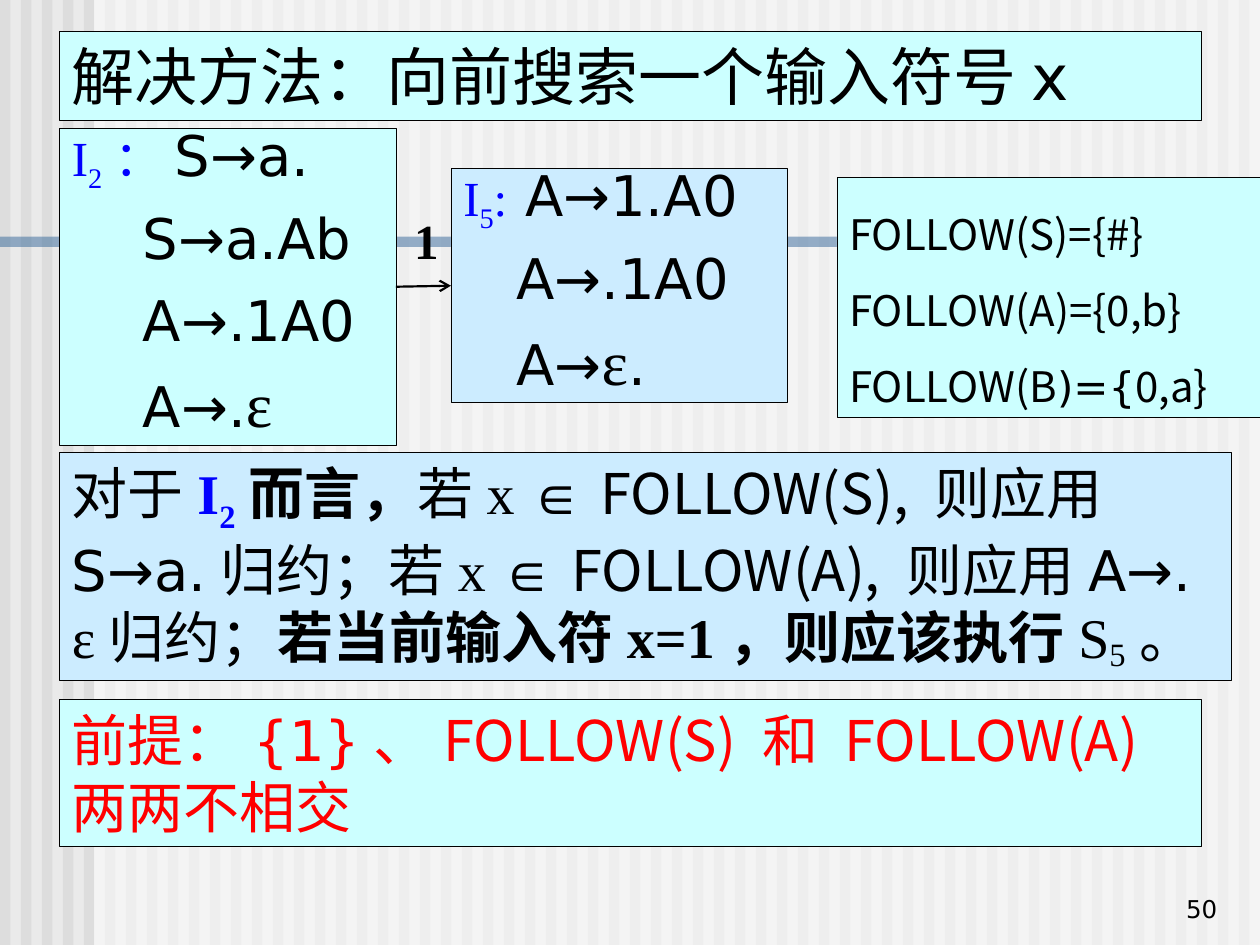
from lxml.etree import SubElement
from pptx import Presentation
from pptx.dml.color import RGBColor
from pptx.enum.shapes import MSO_CONNECTOR as LINE, MSO_SHAPE as SHAPE
from pptx.enum.text import MSO_ANCHOR as ANCHOR, PP_ALIGN as ALIGN
from pptx.oxml.ns import qn
from pptx.util import Cm, Pt

COLOURS = {
    "page": "EAEAEA", "stripe": "DDDDDD", "veil": "FFFFFF", "bar": "336699",
    "mint": "CCFFFF", "sky": "CCECFF", "black": "000000", "blue": "0000FF", "red": "FF0000",
}
SERIF, SANS, CJK, SYMBOL = "Times New Roman", "DejaVu Sans", "Noto Sans CJK JP", "Arial"


def add_block(left, top, width, height, fill, alpha=None, outline=False):
    """Add a plain rectangle, optionally translucent or outlined."""
    block = page.shapes.add_shape(SHAPE.RECTANGLE, Cm(left), Cm(top), Cm(width), Cm(height))
    block.shadow.inherit = False
    block.fill.solid()
    block.fill.fore_color.rgb = RGBColor.from_string(COLOURS[fill])
    if alpha:
        colour = block.fill._xPr.find(qn("a:solidFill"))[0]
        SubElement(colour, qn("a:alpha")).set("val", str(alpha * 1000))
    if outline:
        block.line.color.rgb = RGBColor.from_string(COLOURS["black"])
        block.line.width = Pt(0.25)
    else:
        block.line.fill.background()
    return block


def write(box, paras, size, font=SANS, colour="black", indent=0, wrap=True,
          anchor=ANCHOR.TOP, **layout):
    """Fill a box; each para lists spans of (text, format changes)."""
    frame = box.text_frame
    frame.word_wrap = wrap
    frame.vertical_anchor = anchor
    for index, spans in enumerate(paras):
        para = frame.paragraphs[0] if index == 0 else frame.add_paragraph()
        for name, value in {"alignment": ALIGN.LEFT, **layout}.items():
            if index or name != "space_before":
                setattr(para, name, value)
        if index and indent:
            para._p.get_or_add_pPr().set("marL", str(Cm(indent)))
        for text, changes in spans:
            span = para.add_run()
            span.text = text
            look = {"name": font, "size": size, "bold": False, "colour": colour, **changes}
            tint, shift = look.pop("colour"), look.pop("baseline", 0)
            look["size"] = Pt(look["size"])
            for name, value in look.items():
                setattr(span.font, name, value)
            span.font.color.rgb = RGBColor.from_string(COLOURS[tint])
            props = span._r.get_or_add_rPr()
            if shift:
                props.set("baseline", str(shift * 1000))
            SubElement(props, qn("a:ea")).set("typeface", CJK)


deck = Presentation()
deck.slide_width, deck.slide_height = Cm(25.4), Cm(19.05)
page = deck.slides.add_slide(deck.slide_layouts[6])
page.background.fill.solid()
page.background.fill.fore_color.rgb = RGBColor.from_string(COLOURS["page"])

# Striped backdrop, veil and bar
STRIPES = 60
for number in range(STRIPES):
    add_block(number * 25.4 / STRIPES, 0, 0.21, 19.05, "stripe")
add_block(1.9, 0, 23.5, 19.05, "veil", alpha=50)
add_block(0, 4.77, 19.3, 0.21, "bar", alpha=50)

# Page number
number_box = page.shapes.add_textbox(Cm(19.51), Cm(17.48), Cm(5.28), Cm(1.27))
write(number_box, [[("50", {})]], 14, anchor=ANCHOR.BOTTOM, alignment=ALIGN.RIGHT)

# Format changes shared by the text blocks
serif, sans, cjk, symbol = ({"name": name} for name in (SERIF, SANS, CJK, SYMBOL))
strong = {**serif, "bold": True}
label = {**serif, "size": 28, "colour": "blue"}
label_sub = {**label, "baseline": -25}
epsilon = {**serif, "size": 36}

# Explanation
explanation = add_block(1.2, 9.12, 23.62, 4.6, "sky", outline=True)
write(explanation, [[
    ("对于", serif), ("I", {**strong, "colour": "blue"}),
    ("2", {**strong, "colour": "blue", "baseline": -25}), ("而言，", strong),
    ("若x ", serif), ("∈ ", symbol), ("FOLLOW(S), ", cjk), ("则应用", serif),
    ("S→a.归约；", sans),
    ("若x ", serif), ("∈ ", symbol), ("FOLLOW(A), ", cjk), ("则应用", serif),
    ("A→. ", sans), ("ε", serif), ("归约；", sans),
    ("若当前输入符x=1，则应该执行", strong), ("S", serif),
    ("5", {**serif, "baseline": -15}), ("。", sans),
]], 32)

# FOLLOW sets
follow_sets = add_block(16.87, 3.58, 8.53, 4.83, "mint", outline=True)
write(follow_sets, [
    [("FOLLOW(S)={#}", {})],
    [("FOLLOW(A)={0,b}", {})],
    [("FOLLOW(B", {}), (")={", sans), ("0,a}", {})],
], 24, font=CJK, line_spacing=1.5)

# Title
title = add_block(1.2, 0.64, 23.01, 1.78, "mint", outline=True)
write(title, [[("解决方法：向前搜索一个输入符号x", {})]], 36)

# Item sets
item_layout = {"line_spacing": 0.7, "space_before": Pt(20)}
state_2 = add_block(1.2, 2.59, 6.78, 6.38, "mint", outline=True)
write(state_2, [
    [("I", label), ("2", label_sub), ("：", label), ("S→a.", {})],
    [("S→a.Ab", {})],
    [("A→.1A0", {})],
    [("A→.", {}), ("ε", epsilon)],
], 32, indent=1.43, **item_layout)

state_5 = add_block(9.09, 3.4, 6.78, 4.72, "sky", outline=True)
write(state_5, [
    [("I", label), ("5", label_sub), (":", label), (" A→1.A0", {})],
    [("A→.1A0", {})],
    [("A→", {}), ("ε", epsilon), (".", {})],
], 32, indent=1.07, **item_layout)

# Premise
premise = add_block(1.2, 14.1, 23.01, 2.97, "mint", outline=True)
write(premise, [[("前提：{1}、", {}), ("FOLLOW(S) 和 FOLLOW(A)两两不相交", cjk)]],
      32, colour="red")

# Transition on 1
arrow = page.shapes.add_connector(LINE.STRAIGHT, Cm(7.98), Cm(5.78), Cm(9.09), Cm(5.78))
arrow.begin_connect(state_2, 3)
arrow.end_connect(state_5, 1)
arrow.line.color.rgb = RGBColor.from_string(COLOURS["black"])
arrow.line.width = Pt(1.25)
SubElement(arrow.line._get_or_add_ln(), qn("a:tailEnd")).set("type", "arrow")
SubElement(arrow._element.spPr, qn("a:effectLst"))
symbol_box = page.shapes.add_textbox(Cm(8.1), Cm(4.11), Cm(0.99), Cm(1.45))
write(symbol_box, [[("1", strong)]], 28, wrap=False)

deck.save("out.pptx")
